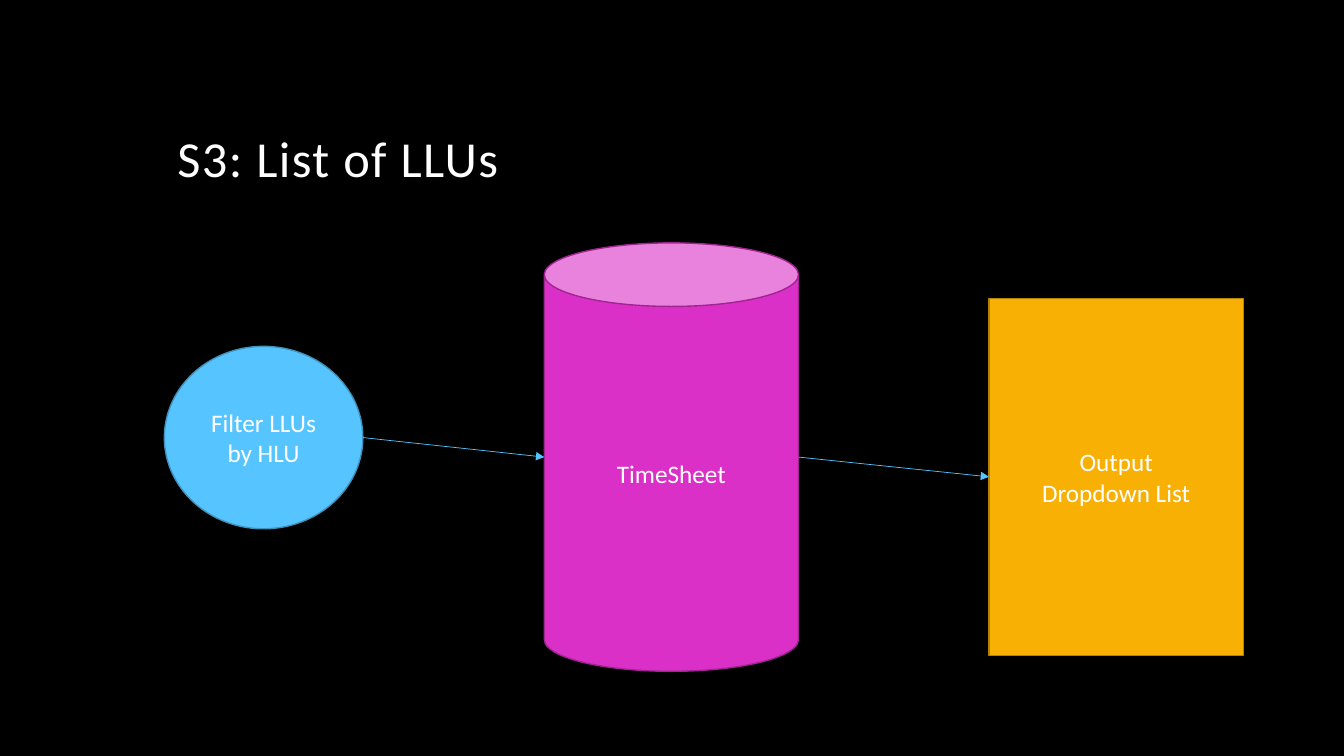
from dataclasses import dataclass

from lxml.etree import SubElement
from pptx import Presentation
from pptx.dml.color import RGBColor
from pptx.enum.shapes import MSO_CONNECTOR, MSO_SHAPE
from pptx.enum.text import MSO_ANCHOR, PP_ALIGN
from pptx.oxml.ns import qn
from pptx.slide import Slide
from pptx.text.text import Font
from pptx.util import Pt

COLORS = {
    "background": "000000",
    "text": "FFFFFF",
    "filter": "56C5FF",
    "filter_edge": "4092BD",
    "timesheet": "DB30C7",
    "timesheet_edge": "A22493",
    "output": "F8B004",
    "output_edge": "B78203",
}


@dataclass(frozen=True)
class Stage:
    geometry: MSO_SHAPE
    color: str
    lines: tuple[str, ...]
    left: float
    top: float
    width: float
    height: float

    @property
    def right(self) -> float:
        return self.left + self.width

    @property
    def middle(self) -> float:
        return self.top + self.height / 2


FILTER = Stage(MSO_SHAPE.OVAL, "filter", ("Filter LLUs by HLU",), 117.4, 247.4, 141.8, 130.3)
TIMESHEET = Stage(MSO_SHAPE.CAN, "timesheet", ("TimeSheet",), 388.8, 173.5, 181.6, 306)
OUTPUT = Stage(MSO_SHAPE.RECTANGLE, "output", ("Output", "Dropdown List"), 706.5, 213.1, 181.6, 255)
FLOW = (FILTER, TIMESHEET, OUTPUT)


def rgb(name: str) -> RGBColor:
    return RGBColor.from_string(COLORS[name])


def style_font(font: Font, size: float) -> None:
    font.name = "Calibri"
    font.size = Pt(size)
    font.color.rgb = rgb("text")


def add_title(slide: Slide, text: str) -> None:
    title = slide.shapes.title
    title.left, title.top, title.width, title.height = Pt(119.5), Pt(30.2), Pt(720), Pt(108)
    frame = title.text_frame
    frame.text = text
    frame.word_wrap = True
    frame.vertical_anchor = MSO_ANCHOR.BOTTOM
    heading = frame.paragraphs[0]
    heading.alignment = PP_ALIGN.LEFT
    heading.line_spacing = 0.9
    style_font(heading.font, 36)
    heading.runs[0].font._element.set("spc", "100")


def add_stage(slide: Slide, stage: Stage) -> None:
    shape = slide.shapes.add_shape(
        stage.geometry, Pt(stage.left), Pt(stage.top), Pt(stage.width), Pt(stage.height)
    )
    shape.shadow.inherit = False
    shape.fill.solid()
    shape.fill.fore_color.rgb = rgb(stage.color)
    shape.line.color.rgb = rgb(f"{stage.color}_edge")
    shape.line.width = Pt(1)
    frame = shape.text_frame
    frame.text = "\n".join(stage.lines)
    frame.word_wrap = True
    frame.vertical_anchor = MSO_ANCHOR.MIDDLE
    for paragraph in frame.paragraphs:
        paragraph.alignment = PP_ALIGN.CENTER
        style_font(paragraph.font, 18)


def add_arrow(slide: Slide, source: Stage, target: Stage) -> None:
    arrow = slide.shapes.add_connector(
        MSO_CONNECTOR.STRAIGHT,
        Pt(source.right), Pt(source.middle), Pt(target.left), Pt(target.middle),
    )
    arrow.line.color.rgb = rgb("filter")
    arrow.line.width = Pt(0.5)
    SubElement(arrow.line._get_or_add_ln(), qn("a:tailEnd"), type="triangle")
    SubElement(arrow._element.spPr, qn("a:effectLst"))


def main() -> None:
    presentation = Presentation()
    presentation.slide_width, presentation.slide_height = Pt(960), Pt(540)
    slide = presentation.slides.add_slide(presentation.slide_layouts.get_by_name("Title Only"))
    slide.background.fill.solid()
    slide.background.fill.fore_color.rgb = rgb("background")
    add_title(slide, "S3: List of LLUs")
    for stage in FLOW:
        add_stage(slide, stage)
    for source, target in zip(FLOW, FLOW[1:]):
        add_arrow(slide, source, target)
    presentation.save("out.pptx")


if __name__ == "__main__":
    main()
